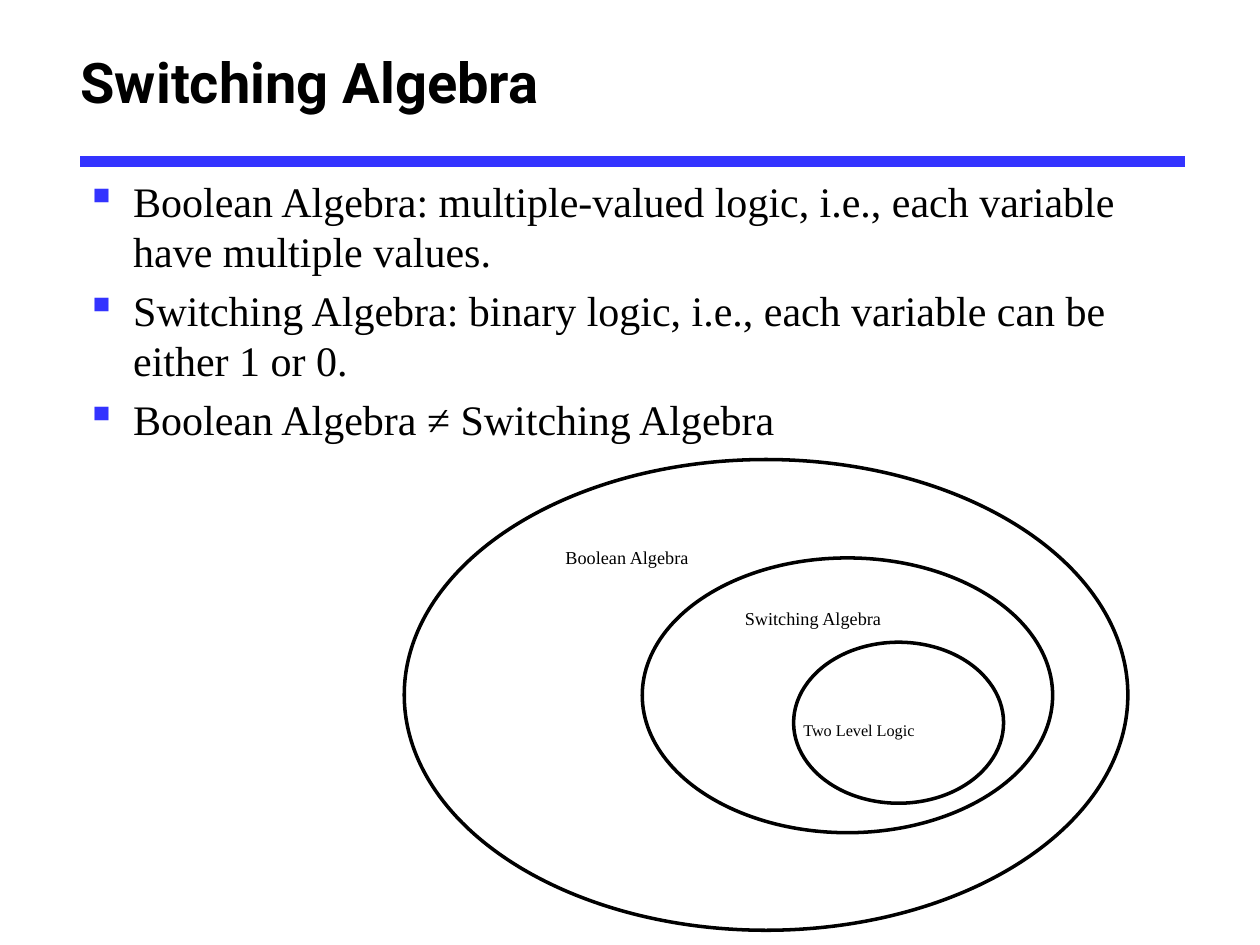
from typing import NamedTuple

from lxml.etree import SubElement
from pptx import Presentation
from pptx.dml.color import RGBColor
from pptx.enum.shapes import MSO_CONNECTOR, MSO_SHAPE
from pptx.enum.text import MSO_ANCHOR, MSO_AUTO_SIZE
from pptx.oxml.ns import qn
from pptx.slide import Slide
from pptx.text.text import Font, TextFrame
from pptx.util import Pt

BLACK = "000000"
BLUE = "3333FF"
SERIF = "Times New Roman"
INDENT = Pt(27)


class Box(NamedTuple):
    left: float
    top: float
    width: float
    height: float

    def lengths(self) -> list[Pt]:
        return [Pt(value) for value in self]


class AlgebraSet(NamedTuple):
    name: str
    outline: Box
    label: Box
    size: float


STATEMENTS = [
    "Boolean Algebra: multiple-valued logic, i.e., each variable have multiple values.",
    "Switching Algebra: binary logic, i.e., each variable can be either 1 or 0.",
    "Boolean Algebra ≠ Switching Algebra",
]

# From the outermost set to the innermost
NESTED_SETS = [
    AlgebraSet("Boolean Algebra", Box(231, 262.6, 413.5, 269),
               Box(316, 296.6, 137.5, 29), 18),
    AlgebraSet("Switching Algebra", Box(367, 318.8, 234.5, 157),
               Box(418.5, 331.2, 150.5, 29), 18),
    AlgebraSet("Two Level Logic", Box(453.5, 367, 120, 92),
               Box(452, 397.4, 125.3, 26.6), 16),
]


def color(value: str) -> RGBColor:
    return RGBColor.from_string(value)


def style(font: Font, name: str, size: float, bold: bool = False) -> None:
    font.name = name
    font.size = Pt(size)
    font.bold = bold
    font.color.rgb = color(BLACK)


def add_text_frame(slide: Slide, box: Box, wrap: bool = True) -> TextFrame:
    frame = slide.shapes.add_textbox(*box.lengths()).text_frame
    frame.word_wrap = wrap
    return frame


def add_title(slide: Slide, title: str) -> None:
    frame = add_text_frame(slide, Box(39, 10, 656.5, 73))
    frame.vertical_anchor = MSO_ANCHOR.MIDDLE
    frame.text = title
    style(frame.paragraphs[0].font, "Roboto", 32, bold=True)


def add_rule(slide: Slide, left: float, right: float, y: float) -> None:
    rule = slide.shapes.add_connector(
        MSO_CONNECTOR.STRAIGHT, Pt(left), Pt(y), Pt(right), Pt(y))
    rule.line.color.rgb = color(BLUE)
    rule.line.width = Pt(6)
    SubElement(rule._element.spPr, qn("a:effectLst"))


def add_statements(slide: Slide, statements: list[str]) -> None:
    frame = add_text_frame(slide, Box(42, 96.5, 624, 168))
    frame.text = "\n".join(statements)
    for index, paragraph in enumerate(frame.paragraphs):
        if index:
            paragraph.space_before = Pt(4.8)
        properties = paragraph._p.get_or_add_pPr()
        properties.set("marL", str(INDENT))
        properties.set("indent", str(-INDENT))
        bullet_color = SubElement(properties, qn("a:buClr"))
        SubElement(bullet_color, qn("a:srgbClr"), val=BLUE)
        SubElement(properties, qn("a:buChar"), char="▪")
        style(paragraph.font, SERIF, 24)


def add_set(slide: Slide, algebra: AlgebraSet) -> None:
    outline = slide.shapes.add_shape(MSO_SHAPE.OVAL, *algebra.outline.lengths())
    outline.shadow.inherit = False
    outline.fill.background()
    outline.line.color.rgb = color(BLACK)
    outline.line.width = Pt(2)

    frame = add_text_frame(slide, algebra.label, wrap=False)
    frame.auto_size = MSO_AUTO_SIZE.SHAPE_TO_FIT_TEXT
    paragraph = frame.paragraphs[0]
    run = paragraph.add_run()
    run.text = algebra.name
    run._r.get_or_add_rPr().set("baseline", "-25000")
    style(paragraph.font, SERIF, algebra.size)


def main() -> None:
    presentation = Presentation()
    presentation.slide_width = Pt(720)
    presentation.slide_height = Pt(540)
    slide = presentation.slides.add_slide(presentation.slide_layouts[6])

    add_rule(slide, left=46, right=677, y=92.3)
    add_title(slide, "Switching Algebra")
    add_statements(slide, STATEMENTS)
    for algebra in NESTED_SETS:
        add_set(slide, algebra)

    presentation.save("out.pptx")


if __name__ == "__main__":
    main()
